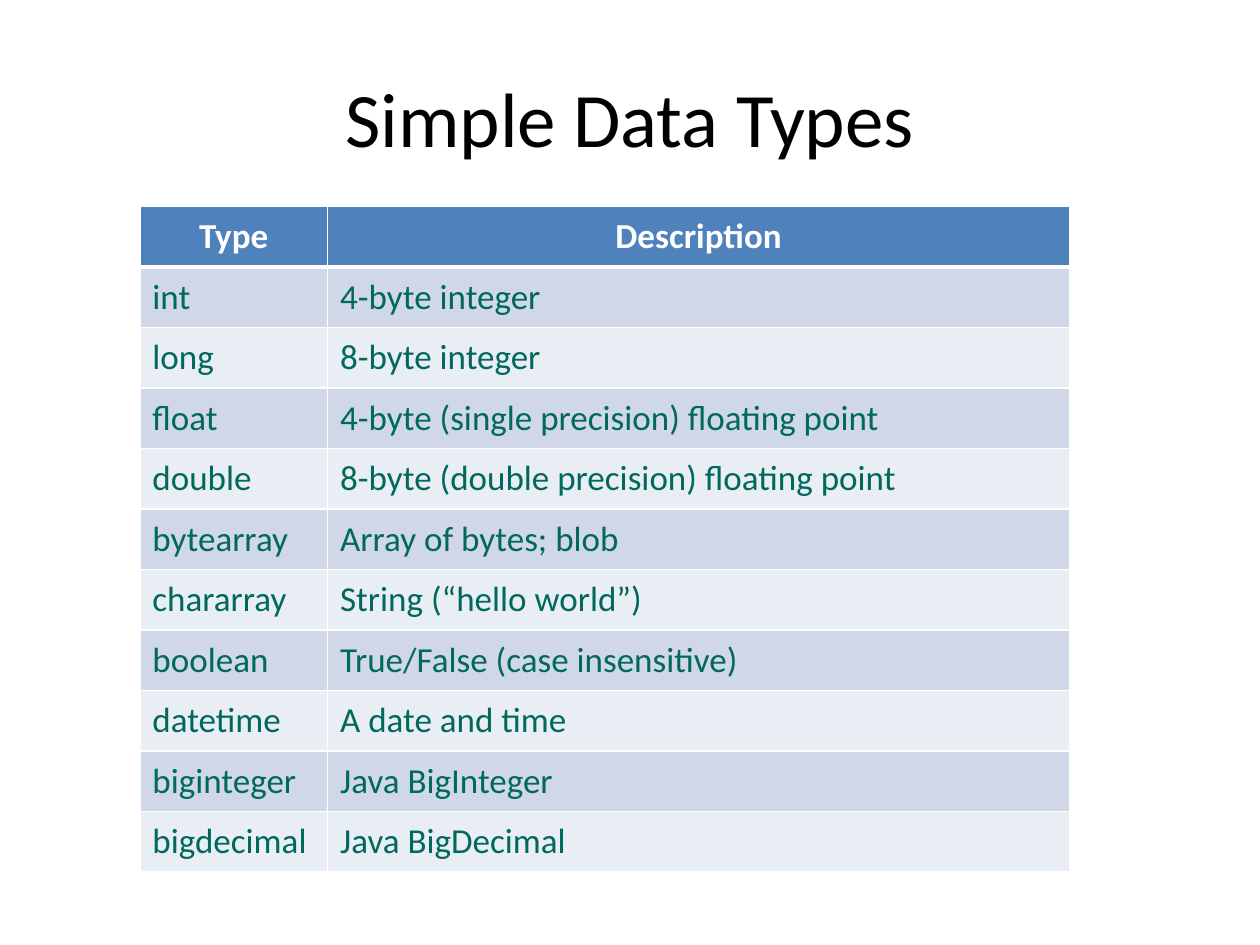
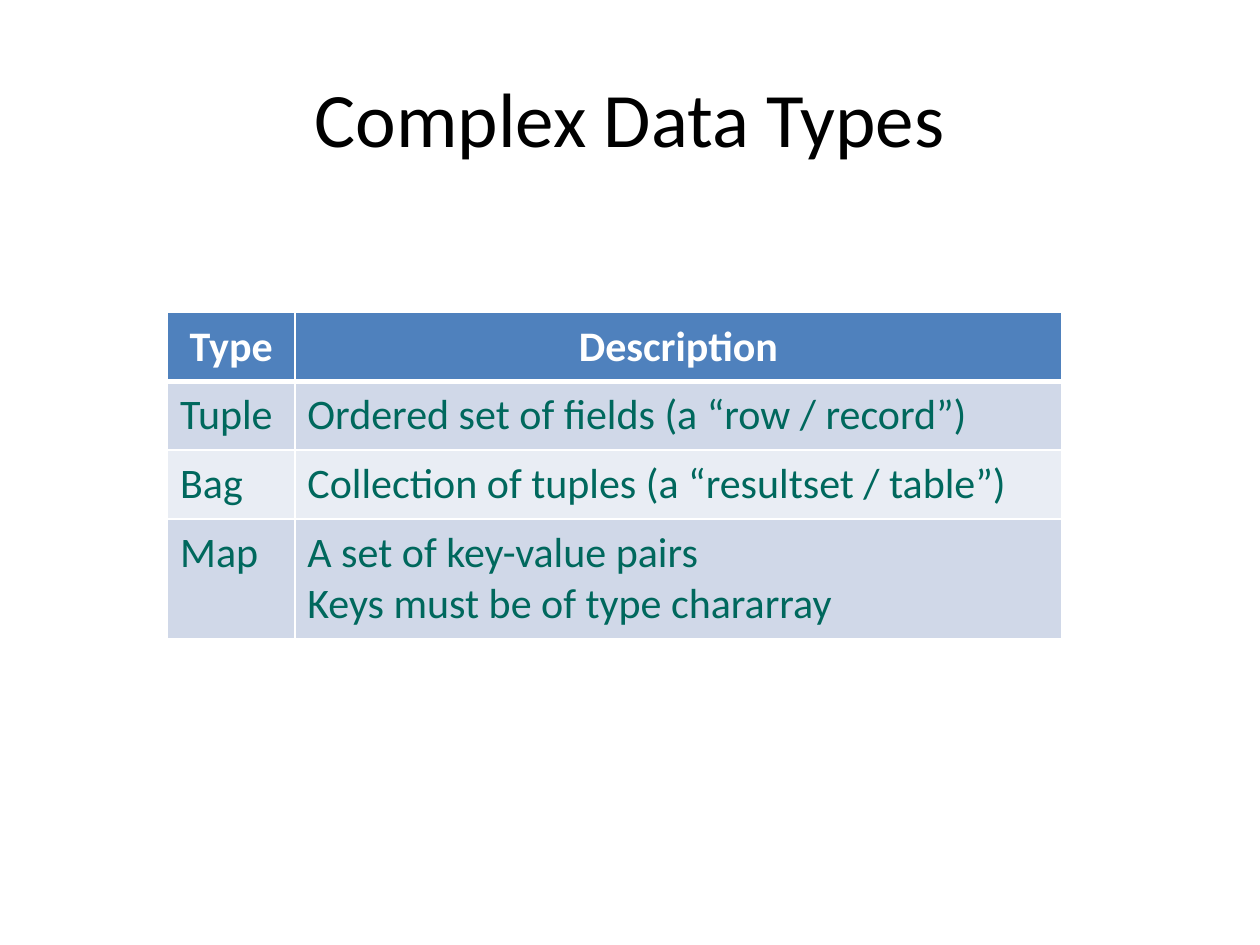
from dataclasses import dataclass

from lxml import etree
from pptx import Presentation
from pptx.dml.color import RGBColor
from pptx.enum.text import MSO_ANCHOR, PP_ALIGN
from pptx.oxml.ns import qn
from pptx.util import Inches, Pt

CENTER, LEFT = PP_ALIGN.CENTER, PP_ALIGN.LEFT
MIDDLE = MSO_ANCHOR.MIDDLE
TITLE_ONLY = 5


@dataclass(frozen=True)
class Theme:
    font: str = "Calibri"
    title: str = "000000"
    header_text: str = "FFFFFF"
    body_text: str = "00685D"
    header_fill: str = "4F81BD"
    bands: tuple = ("D0D8E8", "E9EDF4")
    border: str = "FFFFFF"
    border_width: float = 1
    header_rule: float = 3
    title_size: int = 44


THEME = Theme()

# Each slide: title, table place, column widths, row height, type size, rows
SLIDES = [
    ("Simple Data Types", (1.11, 1.64), (1.49, 5.89), 0.47, 20, [
        ("Type", "Description"),
        ("int", "4-byte integer"),
        ("long", "8-byte integer"),
        ("float", "4-byte (single precision) floating point"),
        ("double", "8-byte (double precision) floating point"),
        ("bytearray", "Array of bytes; blob"),
        ("chararray", "String (“hello world”)"),
        ("boolean", "True/False (case insensitive)"),
        ("datetime", "A date and time"),
        ("biginteger", "Java BigInteger"),
        ("bigdecimal", "Java BigDecimal"),
    ]),
    ("Complex Data Types", (1.33, 2.48), (1.01, 6.09), 0.54, 24, [
        ("Type", "Description"),
        ("Tuple", "Ordered set of fields (a “row / record”)"),
        ("Bag", "Collection of tuples (a “resultset / table”)"),
        ("Map", "A set of key-value pairs\nKeys must be of type chararray"),
    ]),
]


def format_text(frame, size, color, bold, alignment):
    for para in frame.paragraphs:
        para.alignment = alignment
        for span in para.runs:
            span.font.name = THEME.font
            span.font.size = Pt(size)
            span.font.bold = bold
            span.font.color.rgb = RGBColor.from_string(color)


def add_borders(cell, bottom_width):
    properties = cell._tc.get_or_add_tcPr()
    for side in "LRTB":
        width = bottom_width if side == "B" else THEME.border_width
        line = etree.SubElement(properties, qn(f"a:ln{side}"), w=str(Pt(width)))
        fill = etree.SubElement(line, qn("a:solidFill"))
        etree.SubElement(fill, qn("a:srgbClr"), val=THEME.border)


deck = Presentation()
deck.slide_width, deck.slide_height = Inches(10), Inches(7.5)

for title, (left, top), widths, row_height, size, rows in SLIDES:
    page = deck.slides.add_slide(deck.slide_layouts[TITLE_ONLY])

    # Title
    box = page.shapes.title
    box.left, box.top = Inches(0.5), Inches(0.3)
    box.width, box.height = Inches(9), Inches(1.25)
    box.text_frame.text = title
    box.text_frame.vertical_anchor = MIDDLE
    format_text(box.text_frame, THEME.title_size, THEME.title, False, CENTER)

    # Table grid
    table = page.shapes.add_table(
        len(rows), len(widths), Inches(left), Inches(top),
        Inches(sum(widths)), Inches(row_height * len(rows))).table
    for column, width in zip(table.columns, widths):
        column.width = Inches(width)

    # Header and banded rows
    for row_index, texts in enumerate(rows):
        header = row_index == 0
        table.rows[row_index].height = Inches(row_height)
        fill = THEME.header_fill if header else THEME.bands[(row_index - 1) % 2]
        color = THEME.header_text if header else THEME.body_text
        for column_index, text in enumerate(texts):
            cell = table.cell(row_index, column_index)
            cell.margin_left = cell.margin_right = Inches(0.1)
            cell.margin_top = cell.margin_bottom = Inches(0.07)
            add_borders(cell, THEME.header_rule if header else THEME.border_width)
            cell.fill.solid()
            cell.fill.fore_color.rgb = RGBColor.from_string(fill)
            cell.text_frame.text = text
            format_text(cell.text_frame, size, color, header,
                        CENTER if header else LEFT)

deck.save("out.pptx")
